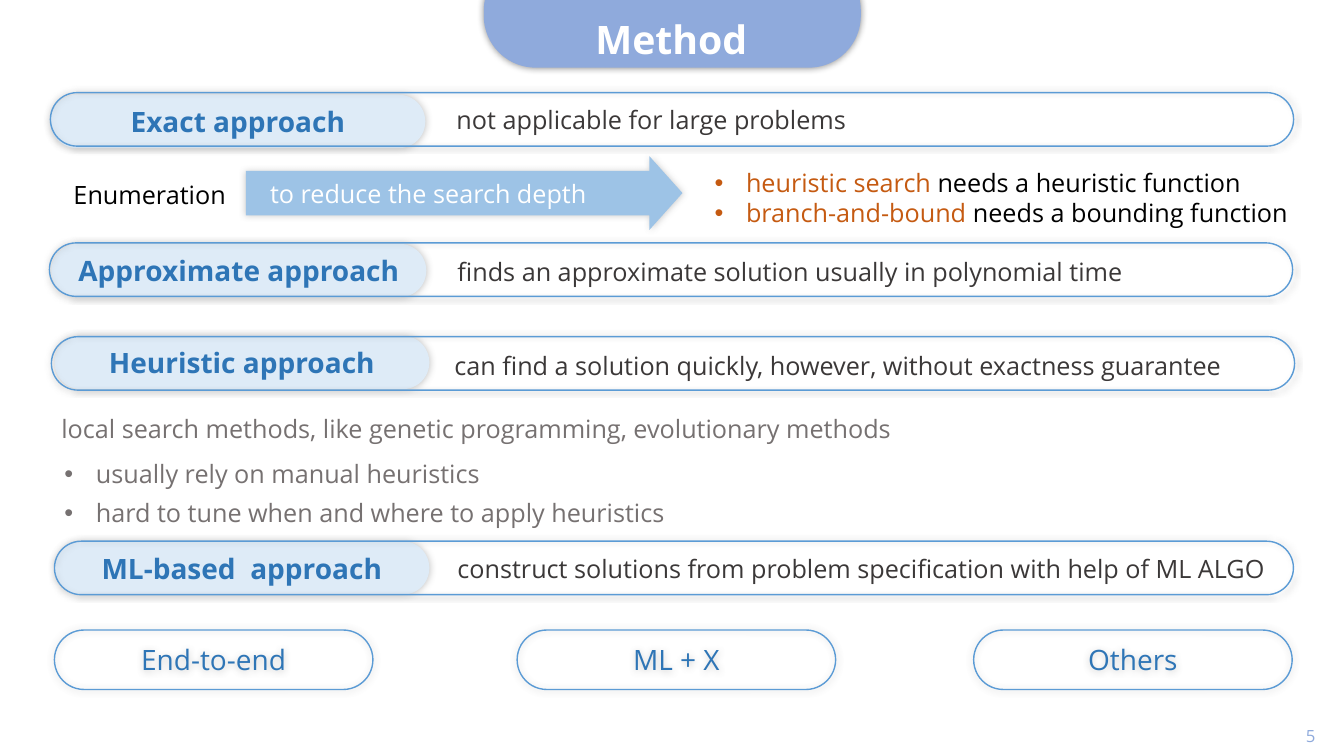
from pptx import Presentation
from pptx.dml.color import RGBColor
from pptx.enum.shapes import MSO_SHAPE as Kind
from pptx.enum.text import MSO_ANCHOR as Anchor, MSO_AUTO_SIZE as Auto, PP_ALIGN as Align
from pptx.oxml import parse_xml
from pptx.oxml.ns import nsdecls
from pptx.util import Pt

FONT = "Open Sans"
WHITE = RGBColor(0xFF, 0xFF, 0xFF)
BLACK = RGBColor(0, 0, 0)
DARK = RGBColor(0x3B, 0x38, 0x38)
GRAY = RGBColor(0x76, 0x71, 0x71)
SHADE = RGBColor(0x80, 0x80, 0x80)
ORANGE = RGBColor(0xC5, 0x5A, 0x11)
TAB = RGBColor(0x8F, 0xAA, 0xDC)
BLUE = RGBColor(0x2E, 0x75, 0xB6)
EDGE = RGBColor(0x5B, 0x9B, 0xD5)
SKY = RGBColor(0x9D, 0xC3, 0xE6)
PALE = RGBColor(0xDE, 0xEB, 0xF7)

ROWS = [
    ("Exact approach", (36, 67.7), (36, 66.2, 888),
     "not applicable for large problems", (319, 71.3)),
    ("Approximate approach", (36.7, 174.2), (35.3, 173.5, 888),
     "finds an approximate solution usually in polynomial time", (319.7, 179.3)),
    ("Heuristic approach", (38.9, 239.8), (36.7, 240.5, 888),
     "can find a solution quickly, however, without exactness guarantee", (317.5, 247)),
    ("ML-based  approach", (38.9, 386.6), (38.9, 386.6, 885),
     "construct solutions from problem specification with help of ML ALGO", (319.7, 391.7)),
]
KINDS = [("End-to-end", 38.9), ("ML + X", 369.4), ("Others", 695.5)]


def style(run, size, color, bold=False):
    font = run.font
    font.name = FONT
    font.size = Pt(size)
    font.bold = bold
    font.color.rgb = color


def write(frame, text, size, color, bold=False, align=Align.LEFT):
    frame.text = text
    para = frame.paragraphs[0]
    para.alignment = align
    style(para.runs[0], size, color, bold)


def glow(shape, color):
    shape.shadow.inherit = False
    old = shape._element.spPr.find("{*}effectLst")
    old.getparent().replace(old, parse_xml(
        f'<a:effectLst {nsdecls("a")}><a:outerShdw blurRad="{Pt(5)}" dist="0" dir="0">'
        f'<a:srgbClr val="{color}"><a:alpha val="40000"/></a:srgbClr>'
        '</a:outerShdw></a:effectLst>'))


def block(slide, kind, left, top, width, height, adjust, fill=None, line=None, shade=SHADE):
    shape = slide.shapes.add_shape(kind, Pt(left), Pt(top), Pt(width), Pt(height))
    for i, value in enumerate(adjust):
        shape.adjustments[i] = value
    if fill is None:
        shape.fill.background()
    else:
        shape.fill.solid()
        shape.fill.fore_color.rgb = fill
    if line is None:
        shape.line.fill.background()
    else:
        shape.line.color.rgb = line
        shape.line.width = Pt(1)
    glow(shape, shade)
    return shape


def pill(slide, left, top, width, height, text="", size=20, bold=False, **look):
    shape = block(slide, Kind.ROUNDED_RECTANGLE, left, top, width, height, [0.5], **look)
    if text:
        shape.text_frame.vertical_anchor = Anchor.MIDDLE
        write(shape.text_frame, text, size, BLUE, bold, Align.CENTER)


def box(slide, left, top, width, height):
    frame = slide.shapes.add_textbox(Pt(left), Pt(top), Pt(width), Pt(height)).text_frame
    frame.word_wrap = True
    return frame


def note(slide, text, left, top, width, color):
    write(box(slide, left, top, width, 29), text, 18, color)


def points(slide, left, top, width, height, items, gap=0):
    frame = box(slide, left, top, width, height)
    for i, parts in enumerate(items):
        para = frame.paragraphs[0] if i == 0 else frame.add_paragraph()
        para.space_after = Pt(gap)
        for text, color in parts:
            run = para.add_run()
            run.text = text
            style(run, 18, color)
        props = para._p.get_or_add_pPr()
        props.set("marL", str(Pt(22.5)))
        props.set("indent", str(-Pt(22.5)))
        props.append(parse_xml(f'<a:buFont {nsdecls("a")} typeface="Arial"/>'))
        props.append(parse_xml(f'<a:buChar {nsdecls("a")} char="•"/>'))


def header(slide, text):
    tab = block(slide, Kind.ROUNDED_RECTANGLE, 345.6, -29.5, 269.3, 77.8, [0.476],
                fill=TAB, shade=BLACK)
    title = slide.shapes.title
    title.left, title.top, title.width, title.height = Pt(400), Pt(7.2), Pt(159), Pt(41)
    frame = title.text_frame
    frame.auto_size = Auto.NONE
    frame.vertical_anchor = Anchor.TOP
    write(frame, text, 28, WHITE, True, Align.CENTER)
    para = frame.paragraphs[0]
    para.line_spacing = 1.0
    para.space_before = Pt(0)
    tab._element.addnext(title._element)


def main():
    deck = Presentation()
    deck.slide_width, deck.slide_height = Pt(960), Pt(540)
    slide = deck.slides.add_slide(deck.slide_layouts[5])
    header(slide, "Method")

    for name, (x, y), (left, top, width), text, spot in ROWS:
        pill(slide, x, y, 267.8, 38.2, name, bold=True, fill=PALE)
        pill(slide, left, top, width, 38.2, line=EDGE)
        note(slide, text, *spot, 601, DARK)

    note(slide, "Enumeration", 45.4, 124.6, 140, BLACK)
    block(slide, Kind.RIGHT_ARROW, 175.7, 111.6, 311.8, 52.6, [0.604, 0.448], fill=SKY)
    note(slide, "to reduce the search depth", 185.8, 123.8, 258, WHITE)
    points(slide, 503.3, 115.9, 480, 51, [
        [("heuristic search ", ORANGE), ("needs a heuristic function", BLACK)],
        [("branch-and-bound ", ORANGE), ("needs a bounding function", BLACK)],
    ])

    note(slide, "local search methods, like genetic programming, evolutionary methods",
         36.7, 291.6, 690, GRAY)
    points(slide, 38.9, 324, 480, 57, [
        [("usually rely on manual heuristics", GRAY)],
        [("hard to tune when and where to apply heuristics", GRAY)],
    ], 6)

    for name, left in KINDS:
        pill(slide, left, 450, 227.5, 42.5, name, line=EDGE)

    page = box(slide, 730.8, 511.2, 216, 28.8)
    page.vertical_anchor = Anchor.MIDDLE
    write(page, "5", 12, TAB, align=Align.RIGHT)
    deck.save("out.pptx")


if __name__ == "__main__":
    main()
